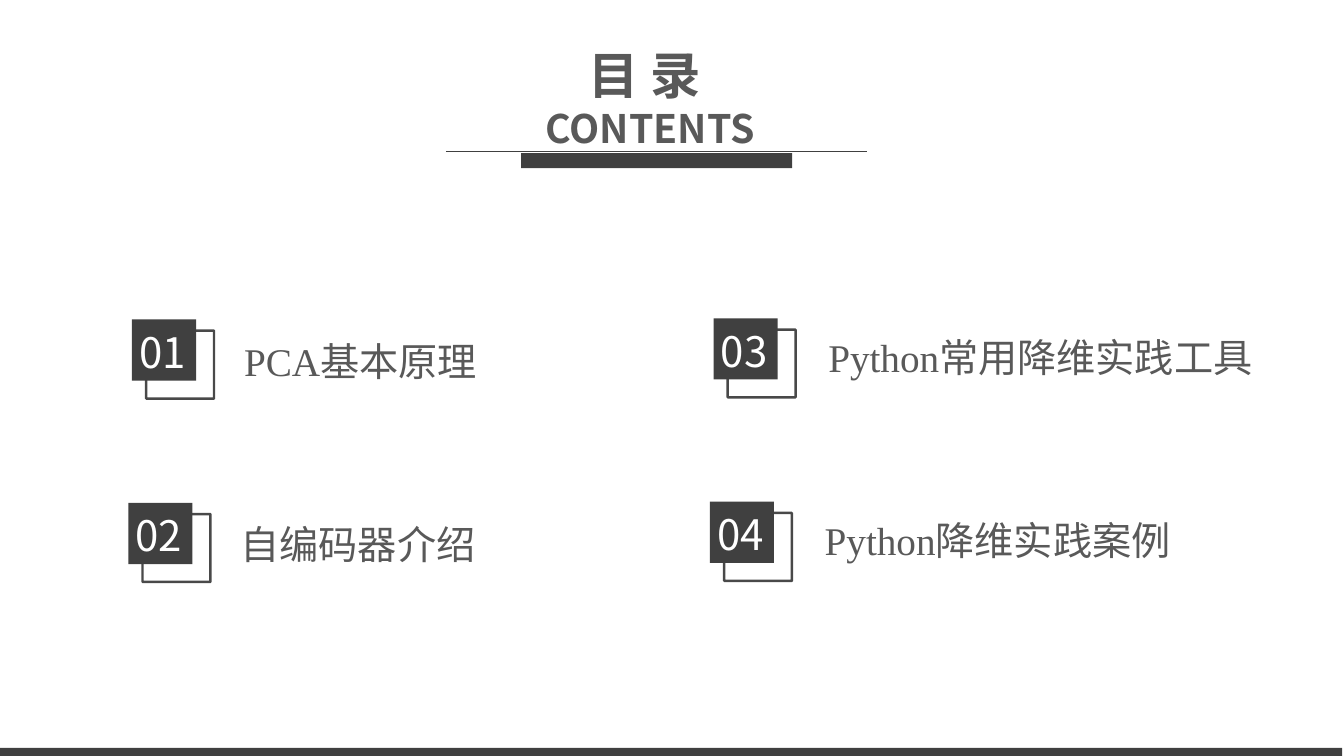
"""Build a contents slide with four numbered topics."""
from lxml import etree
from pptx import Presentation
from pptx.dml.color import RGBColor
from pptx.enum import shapes, text
from pptx.oxml import ns
from pptx.util import Pt

COLORS = {"dark": "404040", "text": "595959", "white": "FFFFFF"}
SANS, SERIF = "Noto Sans CJK SC", "Times New Roman"


def add_box(left, top, width, height, filled=True):
    shape = slide.shapes.add_shape(
        shapes.MSO_SHAPE.RECTANGLE, Pt(left), Pt(top), Pt(width), Pt(height))
    shape.shadow.inherit = False
    dark = RGBColor.from_string(COLORS["dark"])
    if filled:
        shape.fill.solid()
        shape.fill.fore_color.rgb = dark
        shape.line.fill.background()
    else:
        shape.fill.background()
        shape.line.color.rgb = dark
        shape.line.width = Pt(1.75)
        color = shape.line._ln.find(".//" + ns.qn("a:srgbClr"))
        etree.SubElement(color, ns.qn("a:alpha"), val="94000")


def style(paragraph, size, color, name=SANS, bold=False):
    font = paragraph.font
    font.size, font.bold, font.name = Pt(size), bold, name
    font.color.rgb = RGBColor.from_string(COLORS[color])
    properties = paragraph._p.get_or_add_pPr().get_or_add_defRPr()
    etree.SubElement(properties, ns.qn("a:ea"), typeface=SANS)


presentation = Presentation()
presentation.slide_width, presentation.slide_height = Pt(960), Pt(540)
slide = presentation.slides.add_slide(presentation.slide_layouts[5])

add_box(-1.4, 534.2, 960, 5.8)
add_box(372.2, 109.4, 193.7, 10.8)

rule = slide.shapes.add_connector(
    shapes.MSO_CONNECTOR.STRAIGHT, Pt(318.5), Pt(108), Pt(619.2), Pt(108))
rule.line.color.rgb = RGBColor.from_string(COLORS["dark"])
rule.line.width = Pt(0.5)
etree.SubElement(rule._element.spPr, ns.qn("a:effectLst"))

title = slide.shapes.title
title.left, title.top, title.width, title.height = Pt(326.9), Pt(51.1), Pt(275), Pt(37.4)
frame = title.text_frame
frame.text = "目 录 \nCONTENTS"
frame.auto_size = text.MSO_AUTO_SIZE.NONE
frame.vertical_anchor = text.MSO_ANCHOR.MIDDLE
for paragraph, size in zip(frame.paragraphs, (36, 28)):
    paragraph.alignment = text.PP_ALIGN.CENTER
    style(paragraph, size, "text", bold=True)

columns = [
    (94.3, 228.2, 73, -2.2, [("PCA基本原理", SERIF), ("自编码器介绍", SANS)]),
    (509.7, 227.4, 74.9, -4.3, [("Python常用降维实践工具", SERIF), ("Python降维实践案例", SERIF)]),
]
number = 0
for column_left, column_top, label_x, label_y, topics in columns:
    for row, (topic, topic_font) in enumerate(topics):
        number += 1
        left, top = column_left - 2.6 * row, column_top + 131 * row
        add_box(left + 10.1, top + 8, 48.5, 48.5, filled=False)
        add_box(left, top, 45.8, 43.7)

        badge = slide.shapes.add_textbox(Pt(left + 0.2), Pt(top - 8.8), Pt(54), Pt(51.8))
        frame = badge.text_frame
        frame.word_wrap = True
        frame.auto_size = text.MSO_AUTO_SIZE.SHAPE_TO_FIT_TEXT
        frame.margin_left = frame.margin_right = Pt(5)
        frame.margin_top = frame.margin_bottom = Pt(2.9)
        frame.text = f"{number:02}"
        frame.paragraphs[0].line_spacing = 1.3
        style(frame.paragraphs[0], 30, "white")

        label = slide.shapes.add_textbox(
            Pt(left + label_x), Pt(top + label_y), Pt(391), Pt(63.4))
        frame = label.text_frame
        frame.word_wrap = True
        frame.vertical_anchor = text.MSO_ANCHOR.MIDDLE
        frame.text = topic
        style(frame.paragraphs[0], 28, "text", topic_font)

presentation.save("out.pptx")
